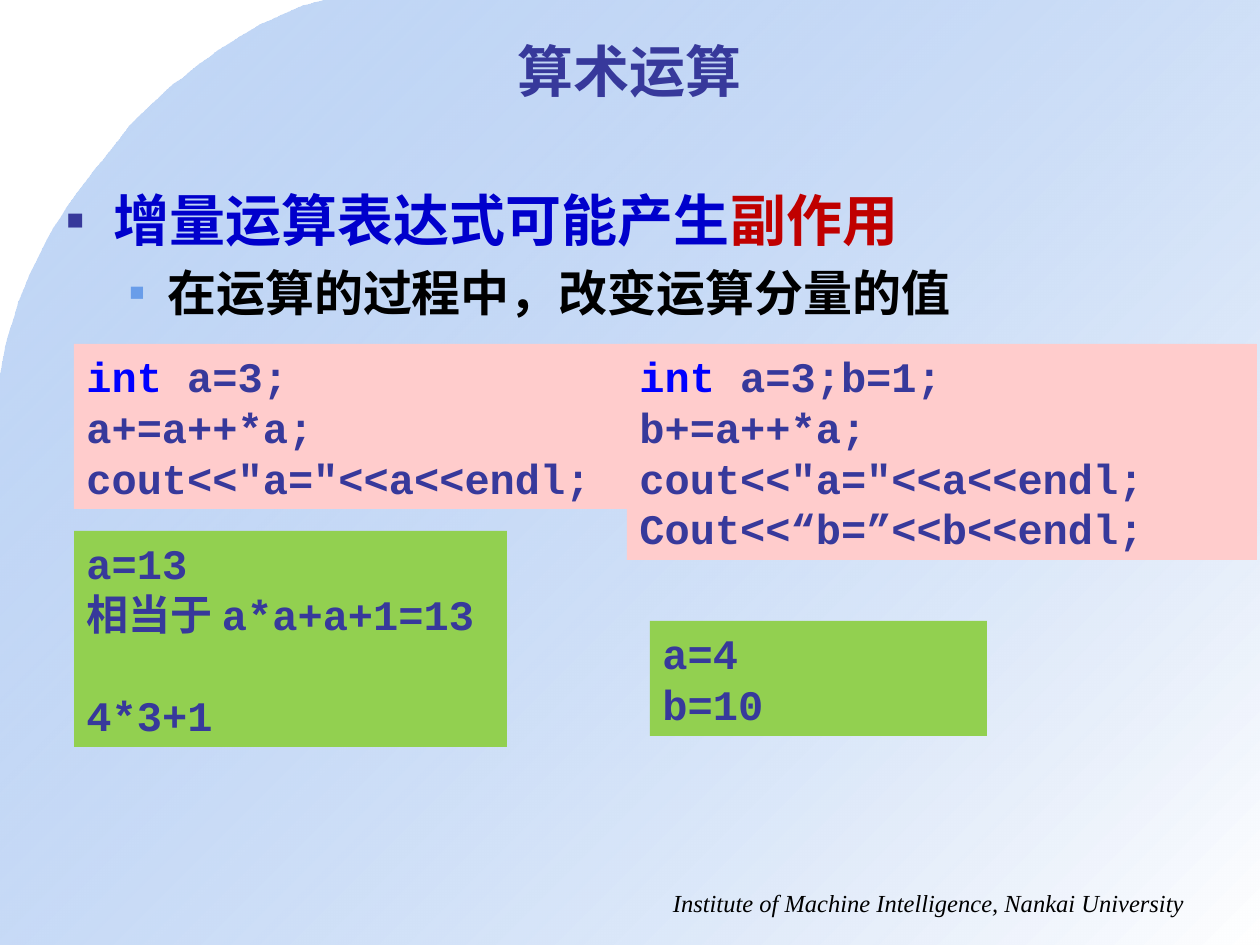
from lxml import etree
from pptx import Presentation
from pptx.dml.color import RGBColor
from pptx.enum.shapes import MSO_SHAPE
from pptx.enum.text import MSO_ANCHOR, PP_ALIGN
from pptx.oxml.ns import qn
from pptx.util import Emu, Pt

RECT = MSO_SHAPE.RECTANGLE
TOP, MIDDLE = MSO_ANCHOR.TOP, MSO_ANCHOR.MIDDLE
LEFT, CENTER, RIGHT = PP_ALIGN.LEFT, PP_ALIGN.CENTER, PP_ALIGN.RIGHT
SCALE = 914400 / 126
WIDE, HIGH = 1260, 945
MONO, SANS, SERIF, HAN = "Courier New", "Arial", "Times New Roman", "Noto Sans CJK SC"
COLORS = {
    "ink": "37399B", "sky": "699DE9", "white": "FFFFFF", "black": "000000",
    "blue": "0000CC", "red": "C00000", "key": "0000FF",
    "pink": "FFCCCC", "green": "92D050",
}


def px(num):
    """Turn pixels into EMU."""
    return Emu(round(num * SCALE))


def color(name):
    """Look up a named colour."""
    return RGBColor.from_string(COLORS[name])


def style(run, size, face, tint, bold=True):
    """Format one run, with a Chinese face where it is needed."""
    font = run.font
    font.size, font.name, font.bold = Pt(size), face, bold
    font.color.rgb = color(tint)
    if any("\u4e00" <= char <= "\u9fff" for char in run.text):
        etree.SubElement(run._r.get_or_add_rPr(), qn("a:ea"), typeface=HAN)


def write(para, parts, size, face, bold=True):
    """Fill a paragraph with coloured runs."""
    for text, tint in parts:
        run = para.add_run()
        run.text = text
        style(run, size, face, tint, bold)


def bullet(para, left, hang, tint):
    """Give a paragraph a square bullet and a hanging indent."""
    props = para._p.get_or_add_pPr()
    props.set("marL", str(px(left)))
    props.set("indent", str(-px(hang)))
    tone = etree.SubElement(props, qn("a:buClr"))
    etree.SubElement(tone, qn("a:srgbClr"), val=COLORS[tint])
    etree.SubElement(props, qn("a:buFont"), typeface=SANS)
    etree.SubElement(props, qn("a:buChar"), char="▪")


def curve(ends, steps=24):
    """List points along a cubic Bezier curve."""
    points = []
    for step in range(1, steps + 1):
        t = step / steps
        u = 1 - t
        facts = (u ** 3, 3 * u * u * t, 3 * u * t * t, t ** 3)
        points.append(tuple(sum(f * end[axis] for f, end in zip(facts, ends))
                            for axis in (0, 1)))
    return points


def backdrop(slide):
    """Draw the curved gradient panel behind everything."""
    start, knee, stop = (325, 0), (123, 135), (0, 379)
    points = curve([start, (239, 20), (146, 105), knee])
    points += curve([knee, (101, 166), (20, 244), stop])
    points += [(0, HIGH), (WIDE, HIGH), (WIDE, 0)]
    pen = slide.shapes.build_freeform(*start, scale=SCALE)
    pen.add_line_segments(points, close=True)
    panel = pen.convert_to_shape()
    panel.shadow.inherit = False
    panel.line.fill.background()
    panel.fill.gradient()
    panel.fill.gradient_angle = 315
    for stop, tint in zip(panel.fill.gradient_stops, ("sky", "white")):
        stop.color.rgb = color(tint)
    first = next(panel._element.iter(qn("a:srgbClr")))
    etree.SubElement(first, qn("a:alpha"), val="39000")
    slide.shapes._spTree.insert(2, panel._element)


def heading(slide, text):
    """Place and format the title."""
    title = slide.shapes.title
    title.left, title.top, title.width, title.height = map(px, (63, 31, 1134, 78))
    frame = title.text_frame
    frame.text = text
    frame.vertical_anchor = MIDDLE
    para = frame.paragraphs[0]
    para.alignment = CENTER
    style(para.runs[0], 32, SANS, "ink")


def textbox(slide, *area):
    """Add a wrapping text box and return its frame."""
    frame = slide.shapes.add_textbox(*map(px, area)).text_frame
    frame.word_wrap = True
    return frame


def points(slide):
    """Write the main point and its detail."""
    frame = textbox(slide, 53, 179, 1144, 683)
    main = frame.paragraphs[0]
    bullet(main, 48, 48, "ink")
    write(main, [("增量运算表达式可能产生", "blue"), ("副作用", "red")], 32, HAN)
    detail = frame.add_paragraph()
    detail.level = 1
    bullet(detail, 102, 39, "sky")
    detail.space_before = Pt(5.6)
    write(detail, [("在运算的过程中，改变运算分量的值", "black")], 28, SANS)


def panel(slide, area, fill, lines, gap=None):
    """Draw a filled box of code, with a gap above one line if asked."""
    box = slide.shapes.add_shape(RECT, *map(px, area))
    box.shadow.inherit = False
    box.fill.solid()
    box.fill.fore_color.rgb = color(fill)
    box.line.fill.background()
    frame = box.text_frame
    frame.word_wrap = True
    frame.vertical_anchor = TOP
    for num, line in enumerate(lines):
        para = frame.add_paragraph() if num else frame.paragraphs[0]
        para.alignment = LEFT
        para.line_spacing = Pt(29)
        if num == gap:
            para.space_before = Pt(29)
        head, word, tail = line.partition("int ")
        parts = [("int", "key"), (" " + tail, "ink")] if word and not head else [(line, "ink")]
        write(para, parts, 24, MONO)


def footer(slide, text):
    """Write the institute line at the lower right."""
    para = textbox(slide, 609, 882, 588, 43).paragraphs[0]
    para.alignment = RIGHT
    write(para, [(text, "black")], 14, SERIF, False)
    para.runs[0].font.italic = True


def main():
    """Build and save the slide."""
    deck = Presentation()
    deck.slide_width, deck.slide_height = px(WIDE), px(HIGH)
    slide = deck.slides.add_slide(deck.slide_layouts[5])
    backdrop(slide)
    footer(slide, "Institute of Machine Intelligence, Nankai University")
    heading(slide, "算术运算")
    points(slide)
    show = 'cout<<"a="<<a<<endl;'
    panel(slide, (74, 344, 630, 165), "pink", ["int a=3;", "a+=a++*a;", show])
    panel(slide, (74, 531, 433, 216), "green",
          ["a=13", "相当于 a*a+a+1=13", "4*3+1"], gap=2)
    panel(slide, (627, 344, 630, 216), "pink",
          ["int a=3;b=1;", "b+=a++*a;", show, "Cout<<“b=”<<b<<endl;"])
    panel(slide, (650, 621, 337, 115), "green", ["a=4", "b=10"])
    deck.save("out.pptx")


if __name__ == "__main__":
    main()
